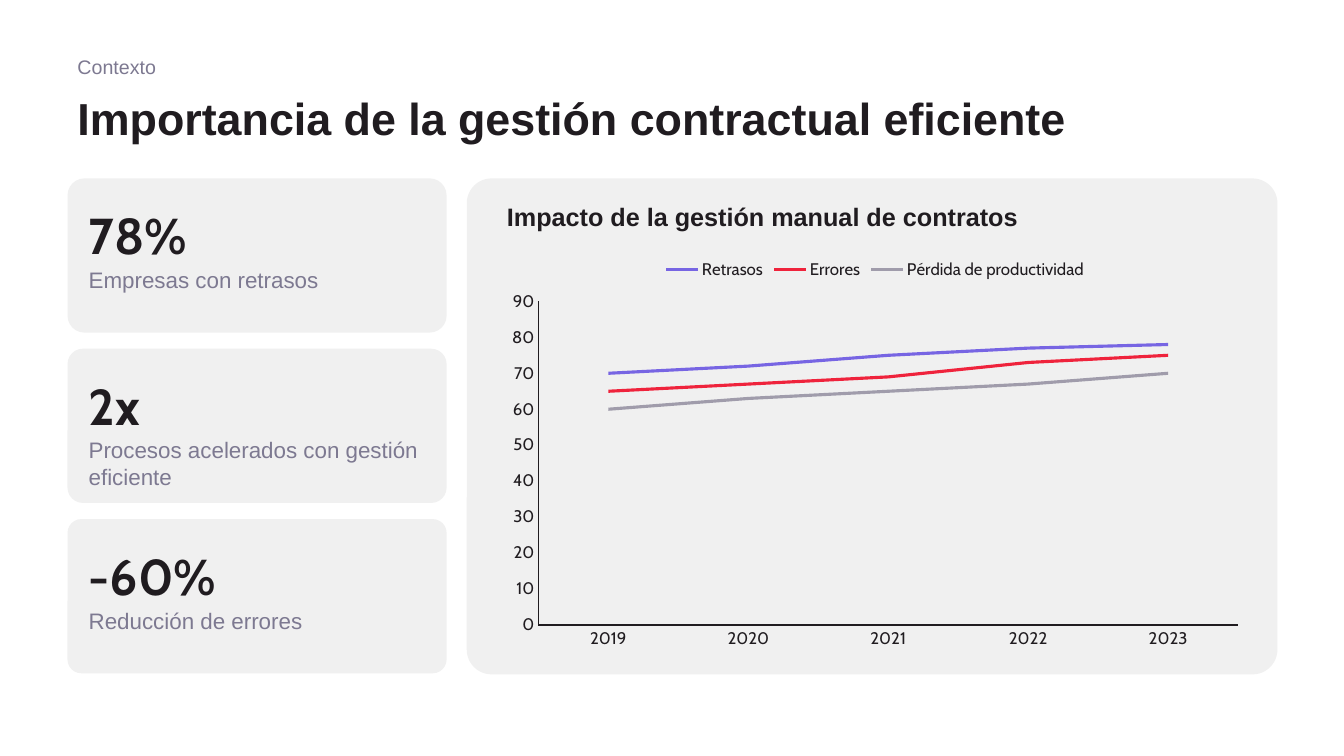
"""Build the slide on efficient contract management."""
from pptx import Presentation
from pptx.chart.data import CategoryChartData
from pptx.dml.color import RGBColor
from pptx.enum.chart import XL_CHART_TYPE as ChartType
from pptx.enum.chart import XL_LEGEND_POSITION as LegendPosition
from pptx.enum.chart import XL_TICK_MARK as TickMark
from pptx.enum.shapes import MSO_SHAPE as Shape
from pptx.enum.text import MSO_ANCHOR as Anchor
from pptx.util import Inches, Pt

INK = RGBColor(0x20, 0x1C, 0x20)
MUTED = RGBColor(0x7D, 0x79, 0x91)
PANEL = RGBColor(0xF0, 0xF0, 0xF0)
PURPLE = RGBColor(0x77, 0x65, 0xE3)
RED = RGBColor(0xEF, 0x23, 0x3C)
GREY = RGBColor(0xA0, 0x9C, 0xAB)

LEFT = 0.67
CARD_TOP, CARD_STEP = 1.77, 1.69
CARD_WIDTH, CARD_HEIGHT = 3.76, 1.53
CARDS = [
    ("78%", "Empresas con retrasos", 0.11),
    ("2x", "Procesos acelerados con gestión eficiente", 0.1),
    ("-60%", "Reducción de errores", 0.09),
]
YEARS = ["2019", "2020", "2021", "2022", "2023"]
SERIES = [
    ("Retrasos", (70, 72, 75, 77, 78), PURPLE),
    ("Errores", (65, 67, 69, 73, 75), RED),
    ("Pérdida de productividad", (60, 63, 65, 67, 70), GREY),
]


def style_font(font, size, color=INK, name="Cabin", bold=False):
    """Set the face, size, weight and colour of a font."""
    font.name, font.size, font.bold = name, Pt(size), bold
    font.color.rgb = color


def add_text(page, text, bounds, size, color=INK, name="Arial", bold=False,
             anchor=Anchor.TOP, spacing=1.0, insets=(0.1, 0.05, 0.1, 0.05)):
    """Add a wrapped one-paragraph text box."""
    frame = page.shapes.add_textbox(*map(Inches, bounds)).text_frame
    frame.word_wrap = True
    frame.vertical_anchor = anchor
    (frame.margin_left, frame.margin_top,
     frame.margin_right, frame.margin_bottom) = map(Inches, insets)
    para = frame.paragraphs[0]
    para.text = text
    para.line_spacing = spacing
    style_font(para.font, size, color, name, bold)


def add_panel(page, bounds, radius):
    """Add a rounded grey panel."""
    panel = page.shapes.add_shape(Shape.ROUNDED_RECTANGLE, *map(Inches, bounds))
    panel.adjustments[0] = radius
    panel.shadow.inherit = False
    panel.fill.solid()
    panel.fill.fore_color.rgb = PANEL
    panel.line.fill.background()


def add_card(page, top, value, label, radius):
    """Add a panel with a key figure and its label."""
    add_panel(page, (LEFT, top, CARD_WIDTH, CARD_HEIGHT), radius)
    add_text(page, value, (LEFT, top + 0.01, CARD_WIDTH, 0.85), 36, name="Cabin",
             bold=True, anchor=Anchor.BOTTOM, spacing=0.85,
             insets=(0.21, 0.05, 0.2, 0))
    add_text(page, label, (LEFT, top + 0.87, CARD_WIDTH, 0.7), 16, MUTED,
             insets=(0.21, 0, 0.2, 0.05))


def style_axis(axis):
    """Give an axis a thin dark line without ticks or gridlines."""
    axis.has_major_gridlines = False
    axis.major_tick_mark = axis.minor_tick_mark = TickMark.NONE
    axis.format.line.color.rgb = INK
    axis.format.line.width = Pt(0.75)
    style_font(axis.tick_labels.font, 12)


def add_impact_chart(page, bounds):
    """Add the line chart of the impact of manual management."""
    data = CategoryChartData()
    data.categories = YEARS
    for name, values, _ in SERIES:
        data.add_series(name, values)
    chart = page.shapes.add_chart(ChartType.LINE, *map(Inches, bounds), data).chart
    style_font(chart.font, 10)
    chart.has_title = False
    chart.has_legend = True
    chart.legend.position = LegendPosition.TOP
    chart.legend.include_in_layout = False
    style_font(chart.legend.font, 12)
    style_axis(chart.category_axis)
    style_axis(chart.value_axis)
    chart.value_axis.minimum_scale = 0
    chart.value_axis.maximum_scale = 90
    chart.value_axis.major_unit = 10
    plot = chart.plots[0]
    plot.vary_by_categories = False
    for series, (_, _, color) in zip(plot.series, SERIES):
        series.smooth = False
        series.format.line.color.rgb = color
        series.format.line.width = Pt(2.25)


def main():
    """Create and save the presentation."""
    deck = Presentation()
    deck.slide_width, deck.slide_height = Inches(13.33), Inches(7.5)
    page = deck.slides.add_slide(deck.slide_layouts[6])
    add_text(page, "Contexto", (LEFT, 0.5, 6, 0.34), 14, MUTED)
    add_text(page, "Importancia de la gestión contractual eficiente",
             (LEFT, 0.77, 12, 0.87), 32, bold=True, anchor=Anchor.MIDDLE, spacing=0.9)
    for row, (value, label, radius) in enumerate(CARDS):
        add_card(page, CARD_TOP + row * CARD_STEP, value, label, radius)
    add_panel(page, (4.63, CARD_TOP, 8.04, 4.92), 0.05)
    add_text(page, "Impacto de la gestión manual de contratos",
             (4.93, 1.87, 7.5, 0.48), 18, bold=True, anchor=Anchor.BOTTOM, spacing=1.2)
    add_impact_chart(page, (4.93, 2.46, 7.5, 4.06))
    deck.save("out.pptx")


if __name__ == "__main__":
    main()
